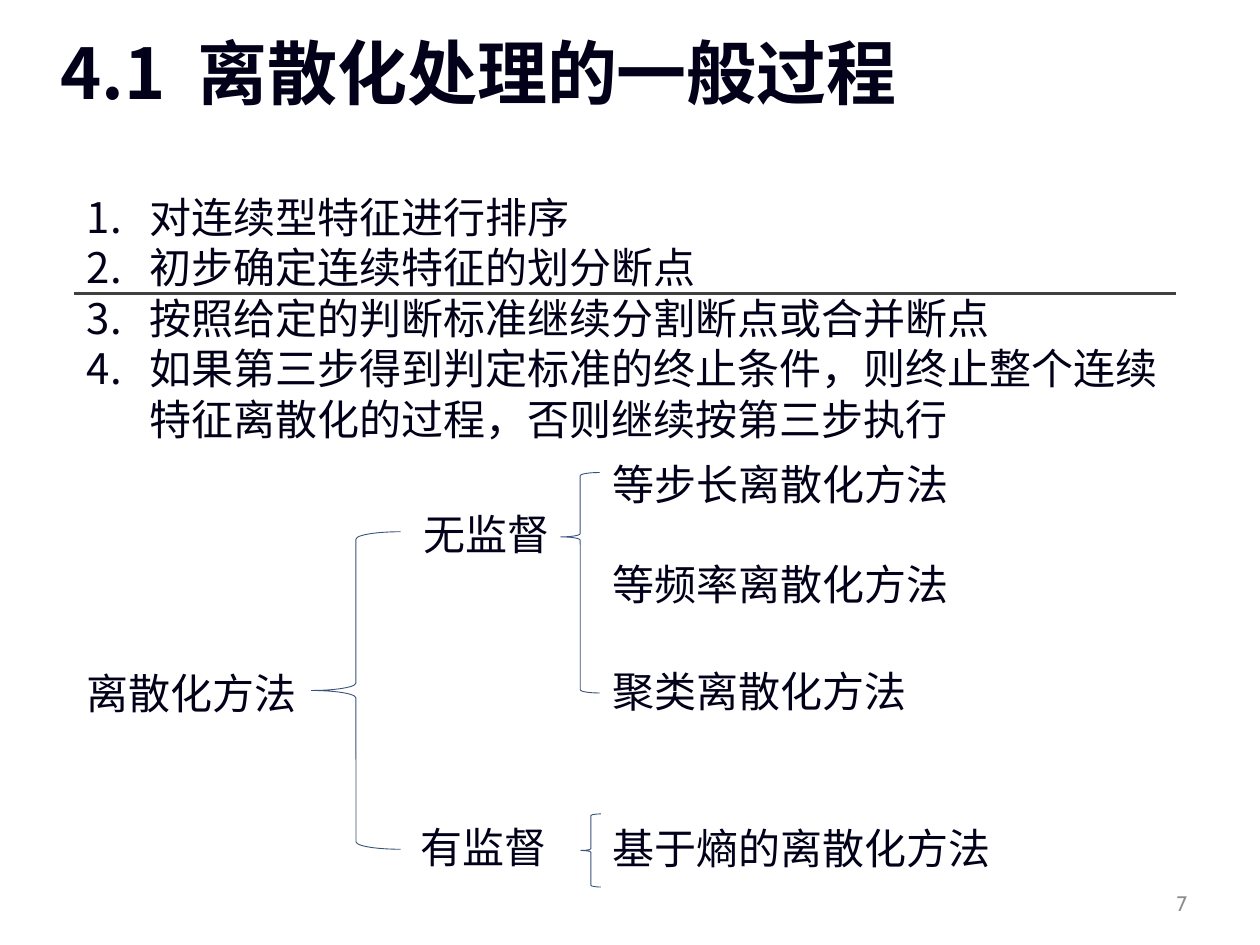
from dataclasses import dataclass

from lxml import etree
from pptx import Presentation
from pptx import util as u
from pptx.dml.color import RGBColor
from pptx.enum import shapes, text
from pptx.oxml.ns import qn

PX = 9144  # EMU in one px: 100 px to the inch
INK = {"text": "03001A", "rule": "404040", "brace": "39527B", "page": "8C8C8C"}
BODY = {"size": u.Pt(24), "name": "Times New Roman"}
HEAD = {"size": u.Pt(40), "name": "Noto Sans CJK SC", "bold": True}
PAGE = {"size": u.Pt(12), "name": "Cabin"}


@dataclass
class Label:
    words: str
    left: int
    top: int
    width: int


@dataclass
class Brace:
    left: int
    top: int
    width: int
    height: int
    bend: tuple = ()


STEPS = (
    "对连续型特征进行排序",
    "初步确定连续特征的划分断点",
    "按照给定的判断标准继续分割断点或合并断点",
    "如果第三步得到判定标准的终止条件，则终止整个连续特征离散化的过程，否则继续按第三步执行",
)
LEAF = 476
LABELS = (
    Label("离散化方法", 59, 525, 188),
    Label("无监督", 326, 399, 127),
    Label("有监督", 324, 647, 127),
    Label("等步长离散化方法", LEAF, 359, 370),
    Label("等频率离散化方法", LEAF, 438, 370),
    Label("聚类离散化方法", LEAF, 523, 370),
    Label("基于熵的离散化方法", LEAF, 648, 370),
)
BRACES = (
    Brace(247, 422, 71, 252),
    Brace(445, 375, 31, 175, (0.083, 0.292)),
    Brace(461, 646, 16, 58),
)


def emu(*px: int) -> list:
    return [u.Emu(n * PX) for n in px]


def style(run, look: dict, ink: str = "text") -> None:
    for key, val in look.items():
        setattr(run.font, key, val)
    run.font.color.rgb = RGBColor.from_string(INK[ink])


def write(slide, lines: tuple, box: tuple, look: dict, ink: str = "text"):
    """Add a wrapped text box with one paragraph for each line."""
    frame = slide.shapes.add_textbox(*emu(*box)).text_frame
    frame.word_wrap = True
    for i, line in enumerate(lines):
        para = frame.add_paragraph() if i else frame.paragraphs[0]
        run = para.add_run()
        run.text = line
        style(run, look, ink)
    return frame


def number(para) -> None:
    """Give the paragraph a hanging automatic number."""
    props = para._p.get_or_add_pPr()
    props.set("marL", str(50 * PX))
    props.set("indent", str(-50 * PX))
    etree.SubElement(props, qn("a:buFont")).set("typeface", HEAD["name"])
    etree.SubElement(props, qn("a:buAutoNum")).set("type", "arabicPeriod")


def head(slide) -> None:
    title = slide.shapes.title
    title.left, title.top, title.width, title.height = emu(38, 36, 900, 94)
    frame = title.text_frame
    frame.vertical_anchor = text.MSO_ANCHOR.TOP
    frame.margin_top = 0
    para = frame.paragraphs[0]
    para.alignment = text.PP_ALIGN.LEFT
    para.line_spacing = 0.8
    for part in ("4.1", " ", "离散化处理的一般过程"):
        run = para.add_run()
        run.text = part
        style(run, HEAD)
        if part == " ":
            run.font._element.set("spc", "900")


def rule(slide) -> None:
    line = slide.shapes.add_connector(
        shapes.MSO_CONNECTOR.STRAIGHT, *emu(59, 233, 933, 233))
    line.line.width = u.Pt(1.5)
    line.line.color.rgb = RGBColor.from_string(INK["rule"])
    etree.SubElement(line._element.spPr, qn("a:effectLst"))


def draw(slide, brace: Brace) -> None:
    box = emu(brace.left, brace.top, brace.width, brace.height)
    shape = slide.shapes.add_shape(shapes.MSO_SHAPE.LEFT_BRACE, *box)
    for i, val in enumerate(brace.bend):
        shape.adjustments[i] = val
    shape.shadow.inherit = False
    shape.fill.background()
    shape.line.width = u.Pt(0.5)
    shape.line.color.rgb = RGBColor.from_string(INK["brace"])


def main() -> None:
    deck = Presentation()
    deck.slide_width, deck.slide_height = emu(1000, 750)
    slide = deck.slides.add_slide(deck.slide_layouts[5])
    head(slide)
    page = write(slide, ("7",), (719, 697, 233, 40), PAGE, "page")
    page.vertical_anchor = text.MSO_ANCHOR.MIDDLE
    page.paragraphs[0].alignment = text.PP_ALIGN.RIGHT
    steps = write(slide, STEPS, (59, 147, 874, 212), BODY)
    for para in steps.paragraphs:
        number(para)
    rule(slide)
    for brace in BRACES:
        draw(slide, brace)
    for label in LABELS:
        box = (label.left, label.top, label.width, 50)
        write(slide, (label.words,), box, BODY)
    deck.save("out.pptx")


if __name__ == "__main__":
    main()
